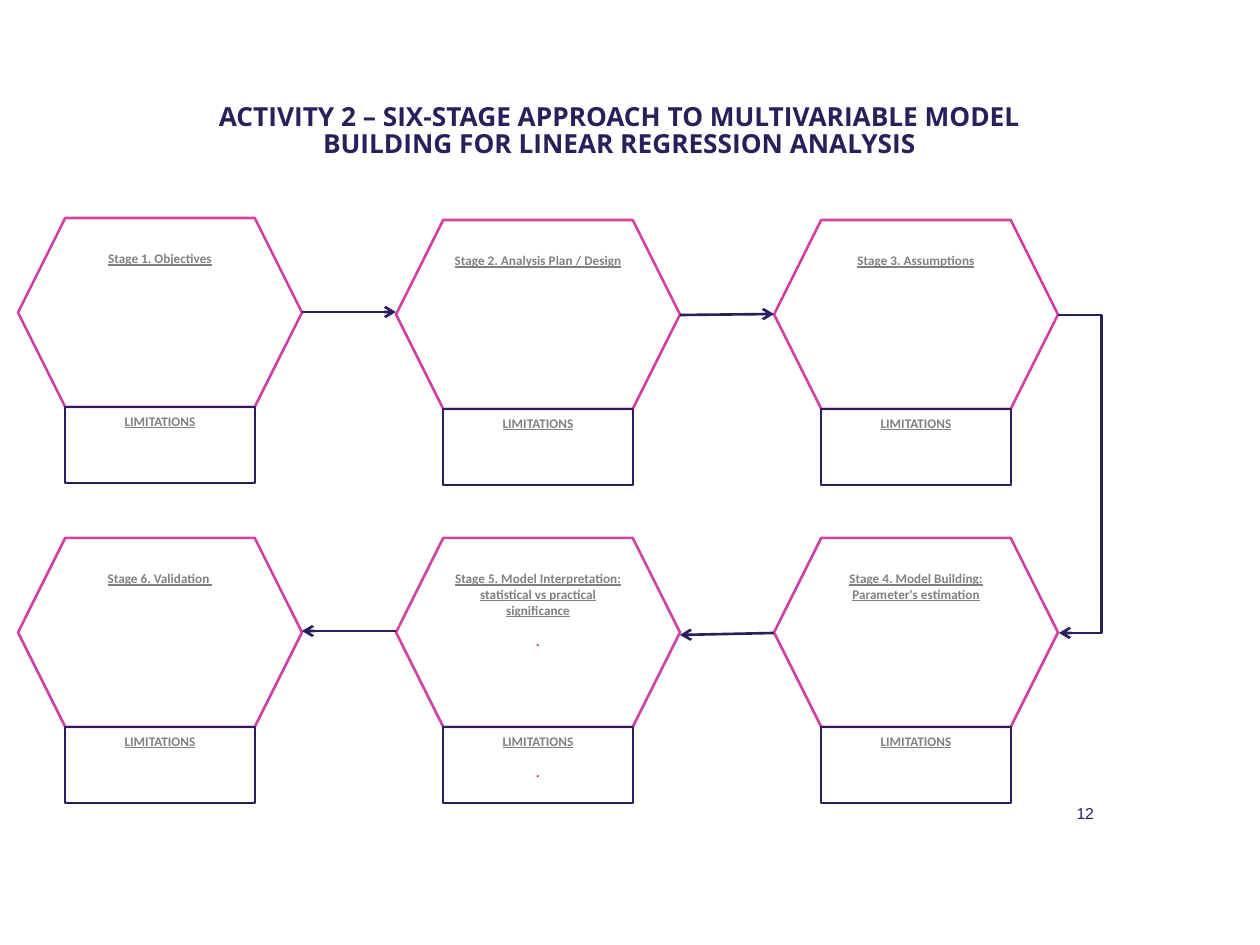
from dataclasses import dataclass

from lxml import etree
from pptx import Presentation
from pptx import util as u
from pptx.dml.color import RGBColor
from pptx.enum import shapes, text
from pptx.oxml.ns import qn

EMU_PER_PX = 914400 / 126
HEXAGON_WIDTH, HEXAGON_HEIGHT = 284, 189
COLUMNS = [18 + 378 * column for column in range(3)]
BOTTOM_ROW = 538


@dataclass(frozen=True)
class Theme:
    """Colours, fonts and type sizes of the slide."""
    navy: RGBColor = RGBColor(0x2B, 0x1E, 0x5C)
    pink: RGBColor = RGBColor(0xD1, 0x42, 0xA2)
    gray: RGBColor = RGBColor(0x80, 0x80, 0x80)
    red: RGBColor = RGBColor(0xFF, 0x00, 0x00)
    title_font: str = "Open Sans"
    label_font: str = "Calibri"
    number_font: str = "Arial"
    title_size: float = 15
    label_size: float = 7.5
    number_size: float = 9
    line_width: float = 1.5


THEME = Theme()

STAGES = [
    ("Stage 1. Objectives", COLUMNS[0], 218, False),
    ("Stage 2. Analysis Plan / Design", COLUMNS[1], 220, False),
    ("Stage 3. Assumptions", COLUMNS[2], 220, False),
    ("Stage 4. Model Building: Parameter's estimation", COLUMNS[2], BOTTOM_ROW, False),
    ("Stage 5. Model Interpretation: statistical vs practical significance",
     COLUMNS[1], BOTTOM_ROW, True),
    ("Stage 6. Validation ", COLUMNS[0], BOTTOM_ROW, False),
]

ARROWS = [
    (COLUMNS[0] + HEXAGON_WIDTH, 312, COLUMNS[1], 312),
    (COLUMNS[1] + HEXAGON_WIDTH, 315, COLUMNS[2], 314),
    (COLUMNS[2], 633, COLUMNS[1] + HEXAGON_WIDTH, 635),
    (COLUMNS[1], 631, COLUMNS[0] + HEXAGON_WIDTH, 631),
]


def px(*lengths):
    """Turn pixel lengths into a list of EMU lengths."""
    return [u.Emu(round(length * EMU_PER_PX)) for length in lengths]


def add_run(paragraph, words, font, size, color, bold=False, underline=False):
    """Add one formatted run to a paragraph."""
    run = paragraph.add_run()
    run.text = words
    run.font.name = font
    run.font.size = u.Pt(size)
    run.font.color.rgb = color
    run.font.bold = bold
    run.font.underline = underline


def add_title(slide, words, box):
    """Move the title placeholder into the box and fill it."""
    title = slide.shapes.title
    title.left, title.top, title.width, title.height = px(*box)
    frame = title.text_frame
    frame.auto_size = text.MSO_AUTO_SIZE.NONE
    frame.word_wrap = True
    frame.vertical_anchor = text.MSO_ANCHOR.TOP
    frame.margin_top = px(3)[0]
    paragraph = frame.paragraphs[0]
    paragraph.alignment = text.PP_ALIGN.CENTER
    paragraph.line_spacing = 0.85
    add_run(paragraph, words, THEME.title_font, THEME.title_size, THEME.navy, bold=True)


def add_page_number(slide, number, box):
    """Add the right-aligned page number."""
    frame = slide.shapes.add_textbox(*px(*box)).text_frame
    frame.word_wrap = True
    frame.vertical_anchor = text.MSO_ANCHOR.MIDDLE
    frame.margin_left, frame.margin_right = px(9, 9)
    paragraph = frame.paragraphs[0]
    paragraph.alignment = text.PP_ALIGN.RIGHT
    add_run(paragraph, number, THEME.number_font, THEME.number_size, THEME.navy)


def add_outline(slide, kind, box, color, label, dotted):
    """Add an unfilled shape with an underlined label and an optional red dot."""
    shape = slide.shapes.add_shape(kind, *px(*box))
    shape.shadow.inherit = False
    shape.fill.background()
    shape.line.color.rgb = color
    shape.line.width = u.Pt(THEME.line_width)
    frame = shape.text_frame
    frame.word_wrap = True
    frame.vertical_anchor = text.MSO_ANCHOR.TOP
    paragraph = frame.paragraphs[0]
    paragraph.alignment = text.PP_ALIGN.CENTER
    add_run(paragraph, label, THEME.label_font, THEME.label_size, THEME.gray,
            bold=True, underline=True)
    if dotted:
        paragraph = frame.add_paragraph()
        paragraph.alignment = text.PP_ALIGN.CENTER
        paragraph.space_before = u.Pt(9)
        add_run(paragraph, ".", THEME.label_font, THEME.label_size, THEME.red, bold=True)


def add_stage(slide, label, box, dotted):
    """Add a stage hexagon with its limitations box underneath."""
    left, top, width, height = box
    add_outline(slide, shapes.MSO_SHAPE.HEXAGON, box, THEME.pink, label, dotted)
    limits = (left + 47, top + height, width - 94, 76)
    add_outline(slide, shapes.MSO_SHAPE.RECTANGLE, limits, THEME.navy, "LIMITATIONS", dotted)


def add_arrow(slide, ends, kind=shapes.MSO_CONNECTOR.STRAIGHT):
    """Add a connector with an open arrowhead at its end."""
    connector = slide.shapes.add_connector(kind, *px(*ends))
    connector.line.color.rgb = THEME.navy
    connector.line.width = u.Pt(THEME.line_width)
    etree.SubElement(connector.line._get_or_add_ln(), qn("a:tailEnd"), type="arrow")
    etree.SubElement(connector._element.spPr, qn("a:effectLst"))
    return connector


def add_return_arrow(slide, ends, reach):
    """Add an elbow arrow that bends out to the right by the reach."""
    connector = add_arrow(slide, ends, shapes.MSO_CONNECTOR.ELBOW)
    ratio = round(reach / (ends[2] - ends[0]) * 100000)
    guides = connector._element.spPr.find(qn("a:prstGeom")).get_or_add_avLst()
    etree.SubElement(guides, qn("a:gd"), name="adj1", fmla=f"val {ratio}")


def main():
    """Build and save the slide."""
    presentation = Presentation()
    presentation.slide_width, presentation.slide_height = px(1260, 945)
    slide = presentation.slides.add_slide(presentation.slide_layouts[5])
    add_title(slide, "ACTIVITY 2 – SIX-STAGE APPROACH TO MULTIVARIABLE MODEL "
              "BUILDING FOR LINEAR REGRESSION ANALYSIS", (194, 102, 851, 98))
    add_page_number(slide, "12", (890, 794, 213, 38))
    for label, left, top, dotted in STAGES:
        add_stage(slide, label, (left, top, HEXAGON_WIDTH, HEXAGON_HEIGHT), dotted)
    for ends in ARROWS:
        add_arrow(slide, ends)
    right = COLUMNS[2] + HEXAGON_WIDTH
    add_return_arrow(slide, (right, 315, right + 1, 633), 44)
    presentation.save("out.pptx")


if __name__ == "__main__":
    main()
